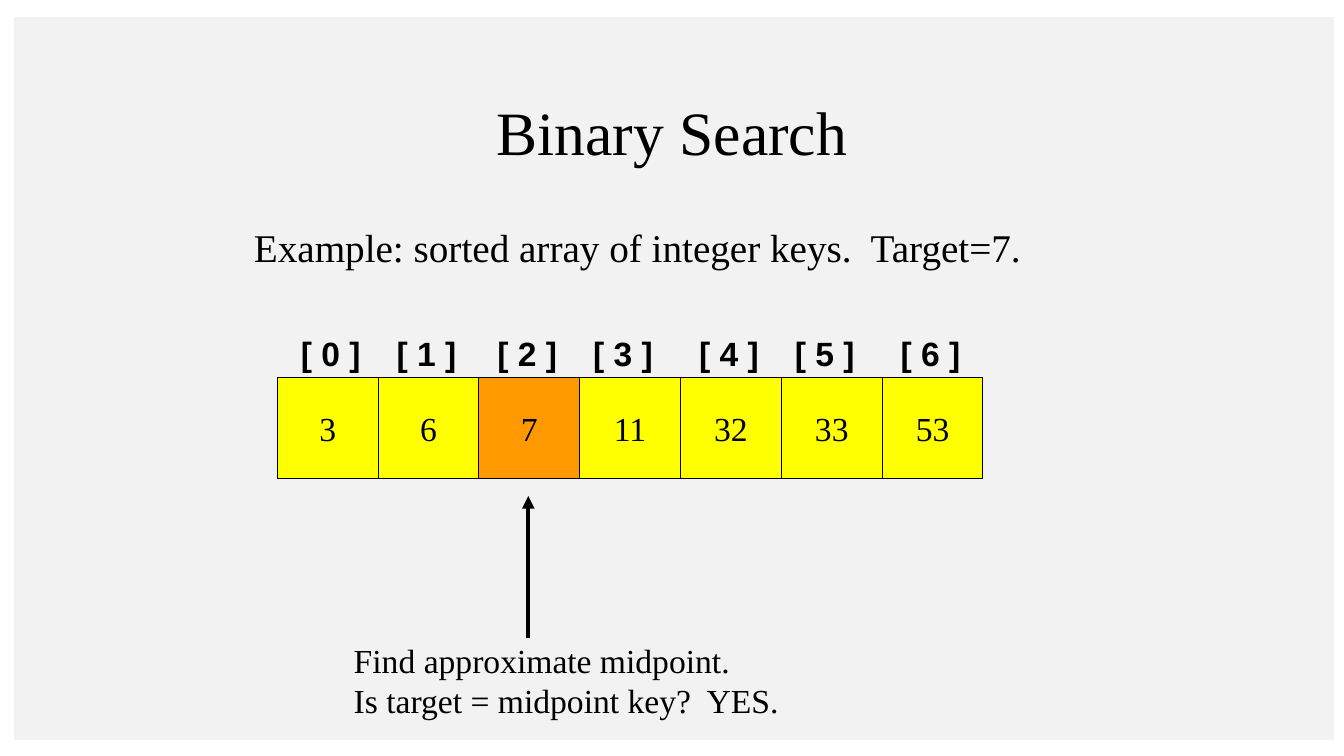
"""Build the Binary Search slide: a sorted array with its midpoint marked."""
from lxml import etree
from pptx import Presentation
from pptx.dml.color import RGBColor
from pptx.enum import shapes, text
from pptx.oxml import ns
from pptx.util import Inches, Pt

TITLE = "Binary Search"
EXAMPLE = "Example: sorted array of integer keys.  Target=7."
NOTE = ["Find approximate midpoint.", "Is target = midpoint key?  YES."]
KEYS = [3, 6, 7, 11, 32, 33, 53]
LABEL_LEFTS = [2.88, 3.83, 4.83, 5.78, 6.83, 7.78, 8.83]
MIDPOINT = 2
ARRAY_LEFT, ARRAY_TOP, CELL = 2.75, 3.75, 1
LABEL_TOP, LABEL_W, LABEL_H = 3.25, 0.8, 0.5
ARROW_X, ARROW_TIP, ARROW_END = 5.24, 4.92, 6.33
COLORS = {"panel": "F2F2F2", "ink": "000000", "key": "FFFF00", "mid": "FF9900"}
SERIF, SANS = "Times New Roman", "Arial"


def color(name):
    return RGBColor.from_string(COLORS[name])


def write(sp, lines, size, font=SERIF, bold=False, center=False, middle=False):
    tf = sp.text_frame
    tf.word_wrap = False
    tf.vertical_anchor = text.MSO_ANCHOR.MIDDLE if middle else text.MSO_ANCHOR.TOP
    for i, line in enumerate(lines):
        p = tf.paragraphs[0] if i == 0 else tf.add_paragraph()
        p.alignment = text.PP_ALIGN.CENTER if center else text.PP_ALIGN.LEFT
        r = p.add_run()
        r.text = line
        r.font.name, r.font.size, r.font.bold = font, Pt(size), bold
        r.font.color.rgb = color("ink")


def add_text(s, box, lines, size, **style):
    write(s.shapes.add_textbox(*map(Inches, box)), lines, size, **style)


def add_rect(s, box, fill):
    sp = s.shapes.add_shape(shapes.MSO_SHAPE.RECTANGLE, *map(Inches, box))
    sp.shadow.inherit = False
    sp.fill.solid()
    sp.fill.fore_color.rgb = color(fill)
    sp.line.fill.background()
    return sp


def add_arrow(s, x, start, end):
    line = s.shapes.add_connector(
        shapes.MSO_CONNECTOR.STRAIGHT, *map(Inches, (x, start, x, end)))
    line.line.color.rgb = color("ink")
    line.line.width = Pt(3)
    etree.SubElement(line.line._get_or_add_ln(), ns.qn("a:headEnd"), type="triangle")
    etree.SubElement(line._element.spPr, ns.qn("a:effectLst"))


def main():
    prs = Presentation()
    prs.slide_width, prs.slide_height = Inches(13.33), Inches(7.5)
    s = prs.slides.add_slide(prs.slide_layouts[6])
    add_rect(s, (0.14, 0.17, 13.09, 7.17), "panel")
    add_text(s, (1, 0.67, 11.33, 1.25), [TITLE], 44, center=True, middle=True)
    add_text(s, (2.42, 2.17, 7.85, 0.57), [EXAMPLE], 28)
    for i, (key, left) in enumerate(zip(KEYS, LABEL_LEFTS)):
        cell = add_rect(s, (ARRAY_LEFT + i * CELL, ARRAY_TOP, CELL, CELL),
                        "mid" if i == MIDPOINT else "key")
        cell.line.color.rgb = color("ink")
        cell.line.width = Pt(0.75)
        write(cell, [str(key)], 24, center=True, middle=True)
        add_text(s, (left, LABEL_TOP, LABEL_W, LABEL_H), [f"[ {i} ]"], 24,
                 font=SANS, bold=True, center=True)
    add_arrow(s, ARROW_X, ARROW_TIP, ARROW_END)
    add_text(s, (3.41, 6.3, 4.45, 0.91), NOTE, 24)
    prs.save("out.pptx")


if __name__ == "__main__":
    main()
